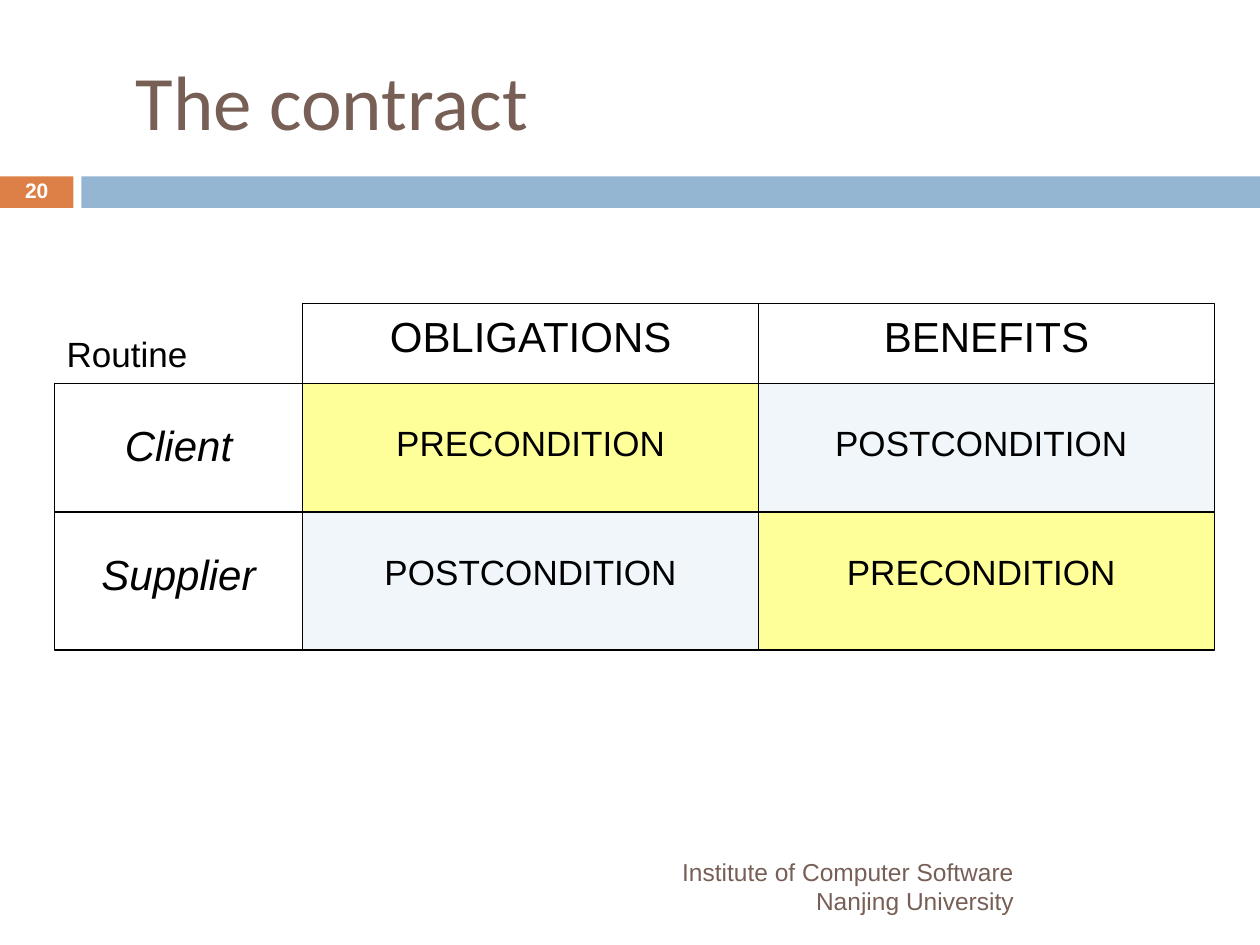
import pptx
import pptx.util
import pptx.dml.color
import pptx.enum.shapes
import pptx.enum.text

Pt = pptx.util.Pt
ALIGN = pptx.enum.text.PP_ALIGN
ANCHOR = pptx.enum.text.MSO_ANCHOR

COLORS = {
    "black": "000000",
    "white": "FFFFFF",
    "brown": "775F55",
    "orange": "DD8047",
    "blue": "94B6D2",
    "yellow": "FFFF99",
    "pale": "F0F6FA",
}
# Left edge and width of each column; top and height of each row
COLS = [(31, 142), (173, 260.5), (433.5, 260.5)]
ROWS = [(173.5, 45.5), (219, 73.5), (292.5, 79)]
HANG = 27


def color(name):
    return pptx.dml.color.RGBColor.from_string(COLORS[name])


def add_box(slide, x, y, w, h, fill=None, line=None):
    box = slide.shapes.add_shape(
        pptx.enum.shapes.MSO_SHAPE.RECTANGLE, Pt(x), Pt(y), Pt(w), Pt(h))
    box.shadow.inherit = False
    if fill:
        box.fill.solid()
        box.fill.fore_color.rgb = color(fill)
    else:
        box.fill.background()
    if line:
        box.line.color.rgb = color(line)
        box.line.width = Pt(0.75)
    else:
        box.line.fill.background()


def add_text(slide, text, x, y, w, h, size=20, font="Arial", ink="black",
             bold=False, italic=False, align=ALIGN.LEFT, anchor=ANCHOR.TOP,
             space=1.0, hang=0):
    """Add a text box with one paragraph for each line of text."""
    frame = slide.shapes.add_textbox(Pt(x), Pt(y), Pt(w), Pt(h)).text_frame
    frame.word_wrap = True
    frame.vertical_anchor = anchor
    frame.text = text
    for para in frame.paragraphs:
        para.alignment = align
        para.line_spacing = space
        if hang:
            props = para._p.get_or_add_pPr()
            props.set("marL", str(Pt(hang)))
            props.set("indent", str(Pt(-hang)))
        for run in para.runs:
            run.font.size = Pt(size)
            run.font.name = font
            run.font.bold = bold
            run.font.italic = italic
            run.font.color.rgb = color(ink)


def add_cell(slide, row, col, text, fill=None, trim=0, **style):
    """Add a ruled cell and its label, made narrower by trim."""
    x, w = COLS[col]
    y, h = ROWS[row]
    add_box(slide, x, y, w, h, fill, "black")
    drop = 23 if row else 6
    add_text(slide, text, x, y + drop, w - trim, 30, align=ALIGN.CENTER,
             space=0.8, hang=HANG, **style)


def add_frame(slide):
    """Add the title, the band with the slide number, and the footer."""
    add_box(slide, 0, 100.8, 42, 18, "orange")
    add_box(slide, 46.5, 100.8, 673.5, 18, "blue")
    add_text(slide, "The contract", 70.5, 18, 619, 78, size=44,
             font="Calibri", ink="brown", anchor=ANCHOR.MIDDLE)
    add_text(slide, "Institute of Computer Software\nNanjing University",
             48, 492, 538.5, 29, size=14, ink="brown", align=ALIGN.RIGHT,
             anchor=ANCHOR.MIDDLE)
    add_text(slide, "20", 0, 100, 42, 19.5, size=12, ink="white", bold=True,
             align=ALIGN.CENTER, anchor=ANCHOR.MIDDLE, space=0.8)


def add_grid(slide):
    for row, name in enumerate(["Client", "Supplier"], 1):
        add_cell(slide, row, 0, name, size=24, italic=True)
    for col, name in enumerate(["OBLIGATIONS", "BENEFITS"], 1):
        add_cell(slide, 0, col, name, size=24)
        for row in (1, 2):
            text, fill = (("PRECONDITION", "yellow") if row == col
                          else ("POSTCONDITION", "pale"))
            add_cell(slide, row, col, text, fill, trim=6 * (col - 1))
    add_text(slide, "Routine", COLS[0][0], 191, 130, 27, space=0.8, hang=HANG)


def main():
    deck = pptx.Presentation()
    deck.slide_width, deck.slide_height = Pt(720), Pt(540)
    slide = deck.slides.add_slide(deck.slide_layouts[6])
    add_frame(slide)
    add_grid(slide)
    deck.save("out.pptx")


if __name__ == "__main__":
    main()
